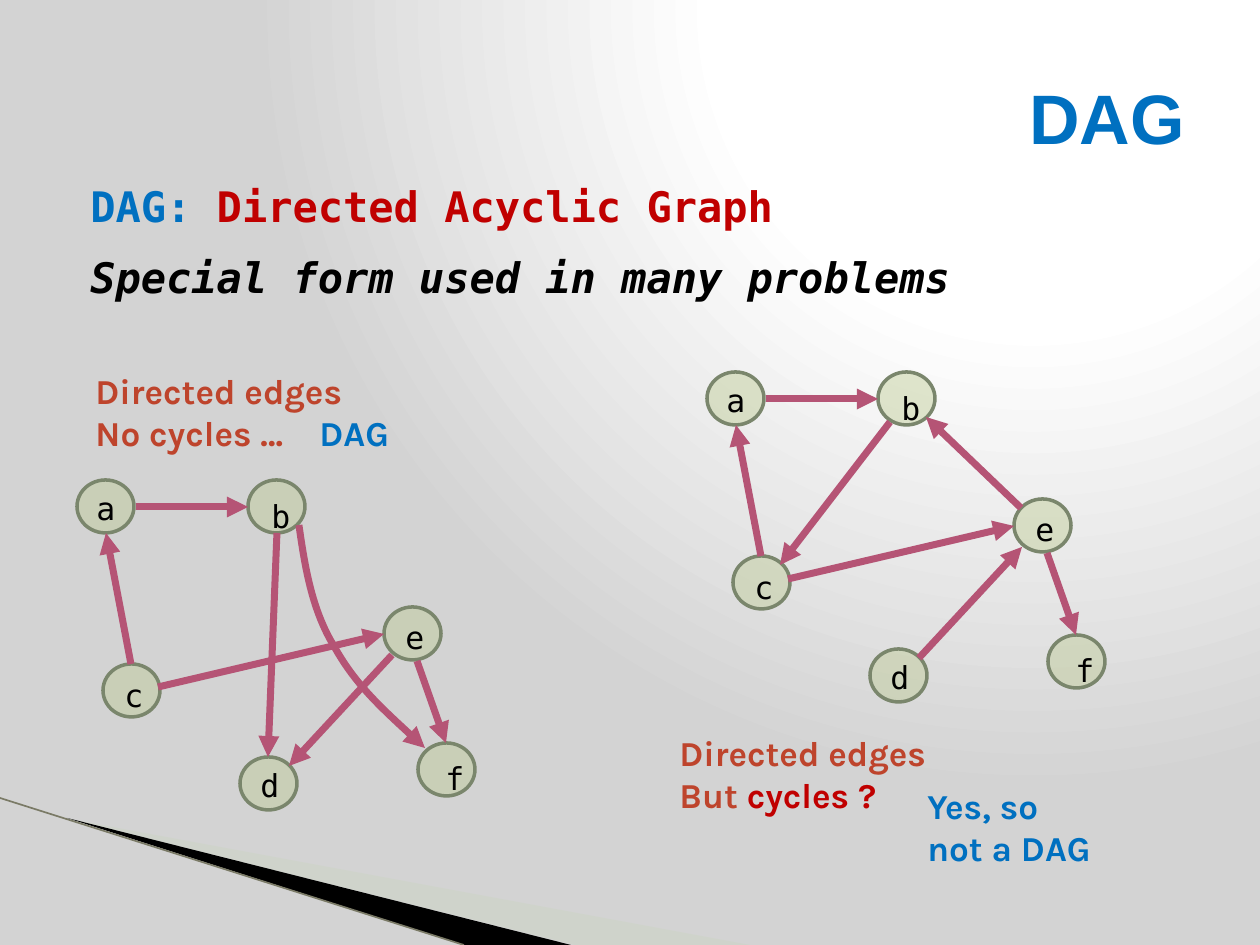
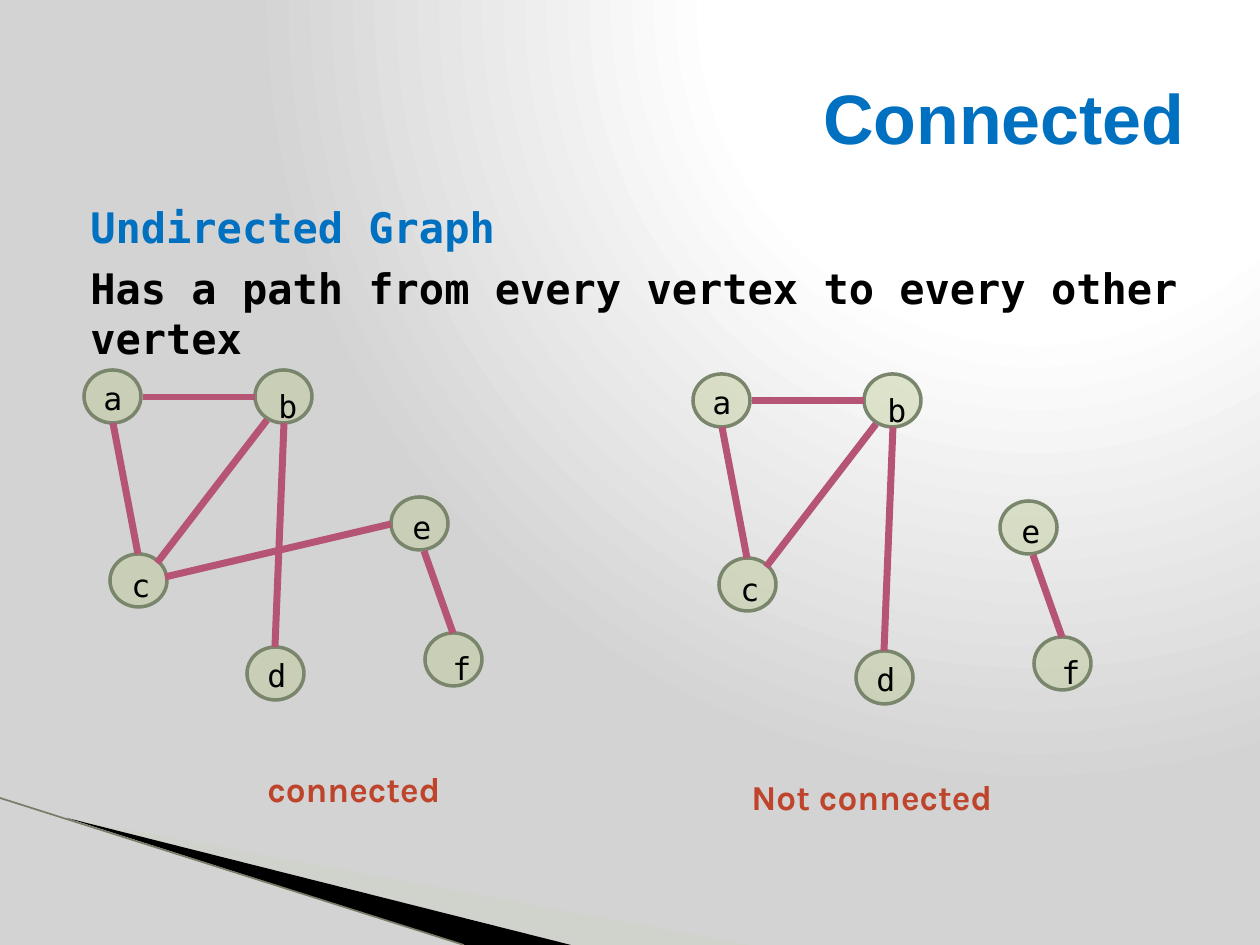
from lxml.etree import SubElement
from pptx import Presentation
from pptx.dml.color import RGBColor
from pptx.enum.shapes import MSO_CONNECTOR, MSO_SHAPE
from pptx.enum.text import MSO_ANCHOR, PP_ALIGN
from pptx.oxml import parse_xml
from pptx.oxml.ns import nsdecls, qn
from pptx.util import Pt

UNIT = 914400 / 126
WIDTH, HEIGHT = 1260, 945

HEX = {
    "white": "FFFFFF", "grey": "D3D3D3", "black": "000000",
    "blue": "0070C0", "red": "C00000", "rust": "BE442C",
    "node": "BECB95", "rim": "7A866C", "edge": "B55475",
    "band": "CBD4C0", "rule": "7A7A66",
}
MONO, SANS, HEAD = "DejaVu Sans Mono", "Karla", "Arial"

# Places below are measured from the top left corner of node a.
NODE = (57, 53)
NODES = {"a": (0, 0), "b": (171, 0), "c": (26, 184),
         "d": (163, 277), "e": (307, 127), "f": (341, 263)}
NUDGE = {"a": (7, 3), "b": (11, 11), "c": (9, 6),
         "d": (8, 3), "e": (9, 5), "f": (15, 10)}
EDGES = {
    "ab": ((59, 27), (171, 27)),
    "ca": ((54, 184), (29, 53)),
    "ce": ((81, 207), (307, 154)),
    "bd": ((200, 53), (191, 277)),
    "ef": ((340, 181), (369, 263)),
    "ed": ((315, 175), (212, 286)),
    "bc": ((183, 50), (73, 193)),
    "eb": ((314, 136), (219, 45)),
}
BEND = [(222, 45), (228, 87), (235, 130), (257, 166),
        (278, 204), (313, 236), (348, 268)]


def px(*nums):
    return [round(num * UNIT) for num in nums]


def rgb(name):
    return RGBColor.from_string(HEX[name])


def shift(spot, base):
    return spot[0] + base[0], spot[1] + base[1]


def paint(shape, color, alpha=None):
    """Fill a shape, with alpha as percent of opacity."""
    shape.shadow.inherit = False
    shape.fill.solid()
    shape.fill.fore_color.rgb = rgb(color)
    if alpha:
        tint = shape.element.spPr.find(f"{qn('a:solidFill')}/{qn('a:srgbClr')}")
        SubElement(tint, qn("a:alpha"), val=str(alpha * 1000))


def stroke(shape, color, width, arrow=False):
    shape.line.color.rgb = rgb(color)
    shape.line.width = Pt(width)
    if arrow:
        SubElement(shape.line._get_or_add_ln(), qn("a:tailEnd"), type="triangle")


def write(shapes, box, paras, font=SANS, size=20, color="rust", bold=True,
          align=PP_ALIGN.LEFT, anchor=MSO_ANCHOR.TOP,
          indent=0, gap=0, tab=0, slant=()):
    """Each paragraph is a list of runs: a string, or a (string, color) pair.

    gap is the space between paragraphs; slant lists the italic paragraphs.
    """
    frame = shapes.add_textbox(*px(*box)).text_frame
    frame.word_wrap = True
    frame.vertical_anchor = anchor
    for num, runs in enumerate(paras):
        para = frame.paragraphs[0] if num == 0 else frame.add_paragraph()
        props = para._p.get_or_add_pPr()
        if indent:
            props.set("marL", str(px(indent)[0]))
        if tab:
            stops = SubElement(props, qn("a:tabLst"))
            SubElement(stops, qn("a:tab"), pos=str(px(tab)[0]), algn="l")
        para.alignment = align
        if num and gap:
            para.space_before = Pt(gap)
        for part in runs:
            words, hue = (part, color) if isinstance(part, str) else part
            run = para.add_run()
            run.text = words
            run.font.name = font
            run.font.size = Pt(size)
            run.font.bold = bold
            run.font.italic = num in slant
            run.font.color.rgb = rgb(hue)


def line(shapes, start, end, color, width, arrow=False):
    wire = shapes.add_connector(MSO_CONNECTOR.STRAIGHT, *px(*start, *end))
    stroke(wire, color, width, arrow)
    SubElement(wire.element.spPr, qn("a:effectLst"))


def outline(shapes, spots, close=True):
    pen = shapes.build_freeform(*spots[0], scale=UNIT)
    pen.add_line_segments(spots[1:], close=close)
    return pen.convert_to_shape()


def curve(shapes, spots):
    """Draw an arrow through cubic segments of three points each."""
    shape = outline(shapes, spots, close=False)
    track = next(shape.element.iter(qn("a:path")))
    legs = track.findall(qn("a:lnTo"))
    for num in range(0, len(legs), 3):
        cubic = SubElement(track, qn("a:cubicBezTo"))
        for leg in legs[num:num + 3]:
            cubic.append(leg[0])
            track.remove(leg)
    shape.shadow.inherit = False
    shape.fill.background()
    stroke(shape, "edge", 4, arrow=True)


def graph(slide, base, edges, arrow=False, bend=False):
    """Draw the six nodes and the named edges; 'de' runs 'ed' backwards."""
    shapes = slide.shapes.add_group_shape().shapes
    for name, spot in NODES.items():
        place = shift(spot, base)
        disc = shapes.add_shape(MSO_SHAPE.OVAL, *px(*place, *NODE))
        paint(disc, "node", 45)
        stroke(disc, "rim", 2)
        write(shapes, (*shift(place, NUDGE[name]), 38, 43), [[name]],
              font=MONO, size=18, color="black", bold=False)
    for name in edges.split():
        ends = EDGES.get(name) or EDGES[name[::-1]][::-1]
        start, end = (shift(spot, base) for spot in ends)
        line(shapes, start, end, "edge", 4, arrow)
    if bend:
        curve(shapes, [shift(spot, base) for spot in BEND])


def backdrop(slide):
    stops = "".join(
        f'<a:gs pos="{pos}000"><a:srgbClr val="{HEX[name]}"/></a:gs>'
        for pos, name in ((0, "white"), (40, "white"), (100, "grey")))
    slide.element.cSld.insert(0, parse_xml(
        f'<p:bg {nsdecls("p", "a")}><p:bgPr><a:gradFill rotWithShape="1">'
        f'<a:gsLst>{stops}</a:gsLst><a:path path="circle">'
        '<a:fillToRect l="65000" t="0" r="0" b="98000"/></a:path>'
        '</a:gradFill><a:effectLst/></p:bgPr></p:bg>'))
    bands = (([(69, 819), (750, 945), (575, 945)], "band", 40),
             ([(67, 818), (571, 945), (464, 945)], "black", None))
    for spots, color, alpha in bands:
        band = outline(slide.shapes, spots)
        paint(band, color, alpha)
        band.line.fill.background()
    line(slide.shapes, (0, 798), (464, 945), "rule", 0.95)


def page(deck, title, top, paras, **style):
    """Add a slide with its backdrop, title and opening text."""
    slide = deck.slides.add_slide(deck.slide_layouts[6])
    backdrop(slide)
    write(slide.shapes, (63, top, 1134, 833 - top), paras, font=MONO,
          size=24, color="blue", indent=15, **style)
    write(slide.shapes, (63, 38, 1134, 157), [[title]], font=HEAD, size=40,
          color="blue", align=PP_ALIGN.RIGHT, anchor=MSO_ANCHOR.MIDDLE)
    return slide


def acyclic(deck):
    slide = page(deck, "DAG", 174, [
        ["DAG:", (" Directed Acyclic Graph", "red")],
        [("Special form used in many problems", "black")],
    ], gap=12, slant=[1])
    graph(slide, (77, 480), "ab ca ce bd ef ed", arrow=True, bend=True)
    graph(slide, (707, 372), "ab bc ce de ef eb ca", arrow=True)
    write(slide.shapes, (83, 363, 387, 97),
          [["Directed edges"], ["No cycles ...\t", ("DAG", "blue")]], tab=224)
    write(slide.shapes, (667, 725, 291, 97),
          [["Directed edges"], ["But ", ("cycles ?", "red")]])
    write(slide.shapes, (915, 778, 237, 97),
          [["Yes, so"], ["not a DAG"]], color="blue")


def joined(deck):
    slide = page(deck, "Connected", 195, [
        ["Undirected Graph"],
        [("Has a path from every vertex to every other vertex", "black")],
    ], gap=6)
    graph(slide, (84, 370), "ab ca ce bd ef bc")
    graph(slide, (693, 374), "ab ca bd ef bc")
    write(slide.shapes, (255, 761, 253, 55), [["connected"]])
    write(slide.shapes, (739, 769, 291, 55), [["Not connected"]])


def main():
    deck = Presentation()
    deck.slide_width, deck.slide_height = px(WIDTH, HEIGHT)
    acyclic(deck)
    joined(deck)
    deck.save("out.pptx")


if __name__ == "__main__":
    main()
